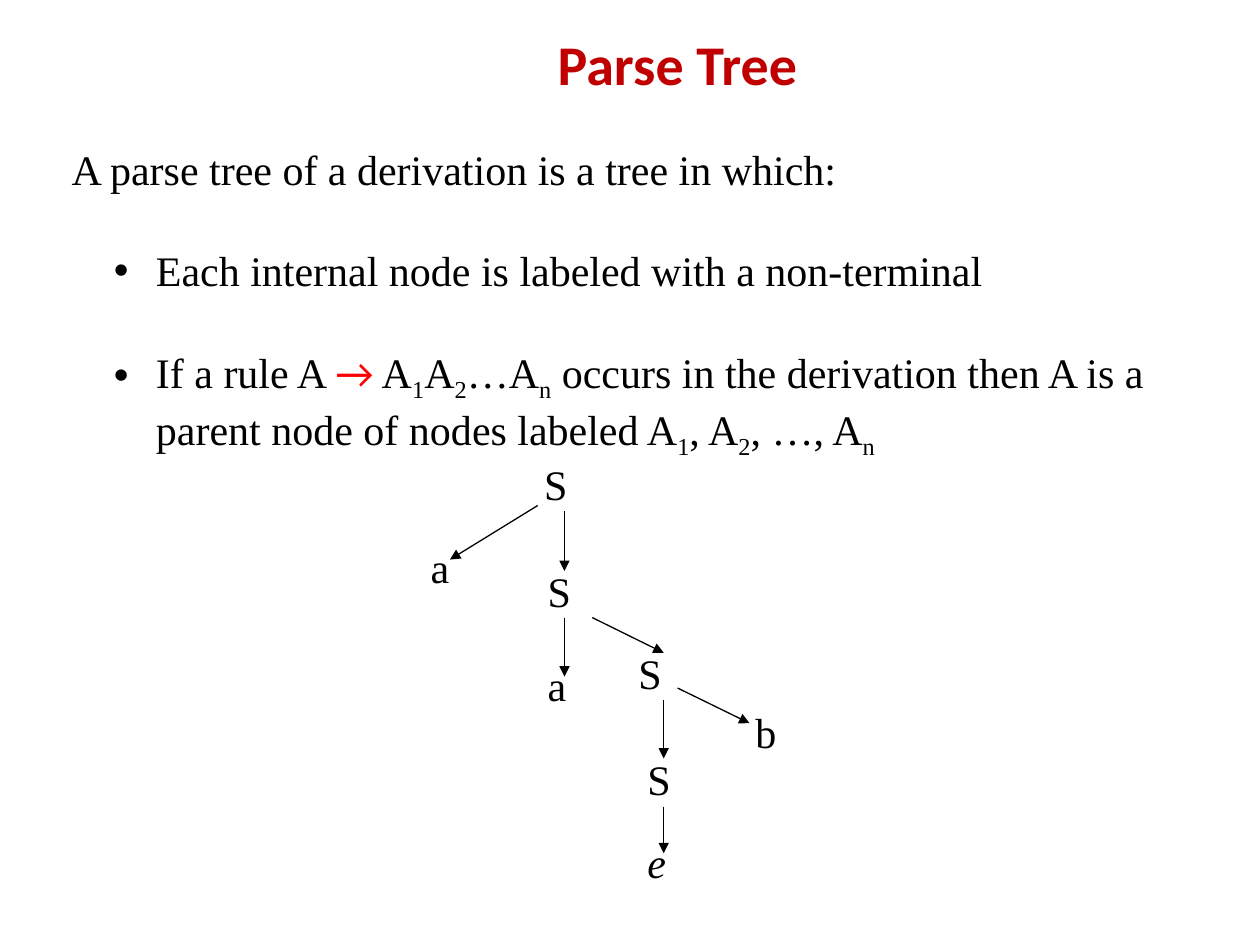
from lxml import etree
from pptx import Presentation
from pptx.dml.color import RGBColor
from pptx.enum import shapes, text
from pptx.oxml.ns import qn
from pptx.util import Cm, Pt

SERIF, SANS = "Times New Roman", "Calibri"
BLACK, RED, DARK_RED = "000000", "FF0000", "C00000"


def color(value):
    return RGBColor.from_string(value)


def add_text(p, content, size=24, font=SERIF, fill=BLACK, bold=False, italic=False, sub=False):
    r = p.add_run()
    r.text = content
    f = r.font
    f.size, f.name, f.bold, f.italic = Pt(size), font, bold, italic
    f.color.rgb = color(fill)
    if sub:
        r._r.get_or_add_rPr().set("baseline", "-25000")


def place(sp, left, top, width, height):
    sp.left, sp.top, sp.width, sp.height = Cm(left), Cm(top), Cm(width), Cm(height)
    sp.text_frame.auto_size = text.MSO_AUTO_SIZE.NONE


def set_bullet(p, char=None, margin=0, indent=0):
    pPr = p._p.get_or_add_pPr()
    pPr.set("marL", str(Cm(margin)))
    pPr.set("indent", str(Cm(indent)))
    if char:
        etree.SubElement(pPr, qn("a:buChar")).set("char", char)
    else:
        etree.SubElement(pPr, qn("a:buNone"))


def build_title(sp, *box):
    place(sp, *box)
    tf = sp.text_frame
    tf.vertical_anchor = text.MSO_ANCHOR.MIDDLE
    p = tf.paragraphs[0]
    p.alignment = text.PP_ALIGN.CENTER
    add_text(p, "Parse Tree", size=32, font=SANS, fill=DARK_RED, bold=True)


def build_definition(sp, *box):
    place(sp, *box)
    tf = sp.text_frame

    # Lead-in sentence
    p = tf.paragraphs[0]
    set_bullet(p)
    p.space_before = Pt(0)
    add_text(p, "A parse tree of a derivation is a tree in which:")

    # Conditions; text between underscores is subscript
    conditions = [
        [("Each internal node is labeled with a non-terminal", {})],
        [("If a rule A ", {}),
         ("→", dict(font=SANS, fill=RED)),
         (" A_1_A_2_…A_n_ occurs in the derivation then A is a "
          "parent node of nodes labeled A_1_, A_2_, …, A_n_", {})],
    ]
    for condition in conditions:
        p = tf.add_paragraph()
        p.level = 1
        set_bullet(p, "•", margin=1.7, indent=-0.85)
        p.space_before = Pt(29)
        for content, style in condition:
            for i, part in enumerate(content.split("_")):
                if part:
                    add_text(p, part, sub=i % 2 == 1, **style)


def add_node(parts, label, left, top):
    width = {"S": 0.99, "b": 0.94}.get(label, 0.89)
    sp = parts.add_textbox(Cm(left), Cm(top), Cm(width), Cm(1.27))
    tf = sp.text_frame
    tf.word_wrap = False
    add_text(tf.paragraphs[0], label, italic=label == "e")


def add_arrow(parts, x1, y1, x2, y2):
    line = parts.add_connector(shapes.MSO_CONNECTOR.STRAIGHT, Cm(x1), Cm(y1), Cm(x2), Cm(y2))
    line.line.width = Pt(0.75)
    line.line.color.rgb = color(BLACK)
    etree.SubElement(line.line._get_or_add_ln(), qn("a:tailEnd")).set("type", "triangle")
    etree.SubElement(line._element.spPr, qn("a:effectLst"))


def build_tree(s, left, top):
    parts = s.shapes.add_group_shape().shapes
    mid, right = 2.95, 4.95  # columns of the vertical arrows
    arrows = [
        (2.41, 1.07, 0.64, 2.16),
        (mid, 1.19, mid, 2.39),
        (mid, 3.33, mid, 4.52),
        (3.51, 3.33, right, 4.04),
        (right, 5, right, 6.17),
        (right, 7.14, right, 8.08),
        (5.23, 4.75, 6.68, 5.46),
    ]
    nodes = [
        ("S", 2.29, 0), ("a", 0, 1.68), ("S", 2.36, 2.16), ("a", 2.36, 4.06),
        ("S", 4.19, 3.81), ("S", 4.37, 5.94), ("e", 4.37, 7.62), ("b", 6.55, 5),
    ]
    for x1, y1, x2, y2 in arrows:
        add_arrow(parts, left + x1, top + y1, left + x2, top + y2)
    for label, x, y in nodes:
        add_node(parts, label, left + x, top + y)


def main():
    prs = Presentation()
    prs.slide_width, prs.slide_height = Cm(25.4), Cm(19.05)
    s = prs.slides.add_slide(prs.slide_layouts[1])
    build_title(s.shapes.title, 3.81, 0.2, 19.69, 2.16)
    build_definition(s.placeholders[1], 1.19, 2.77, 22.28, 6.4)
    build_tree(s, 8.43, 9.12)
    prs.save("out.pptx")


if __name__ == "__main__":
    main()
